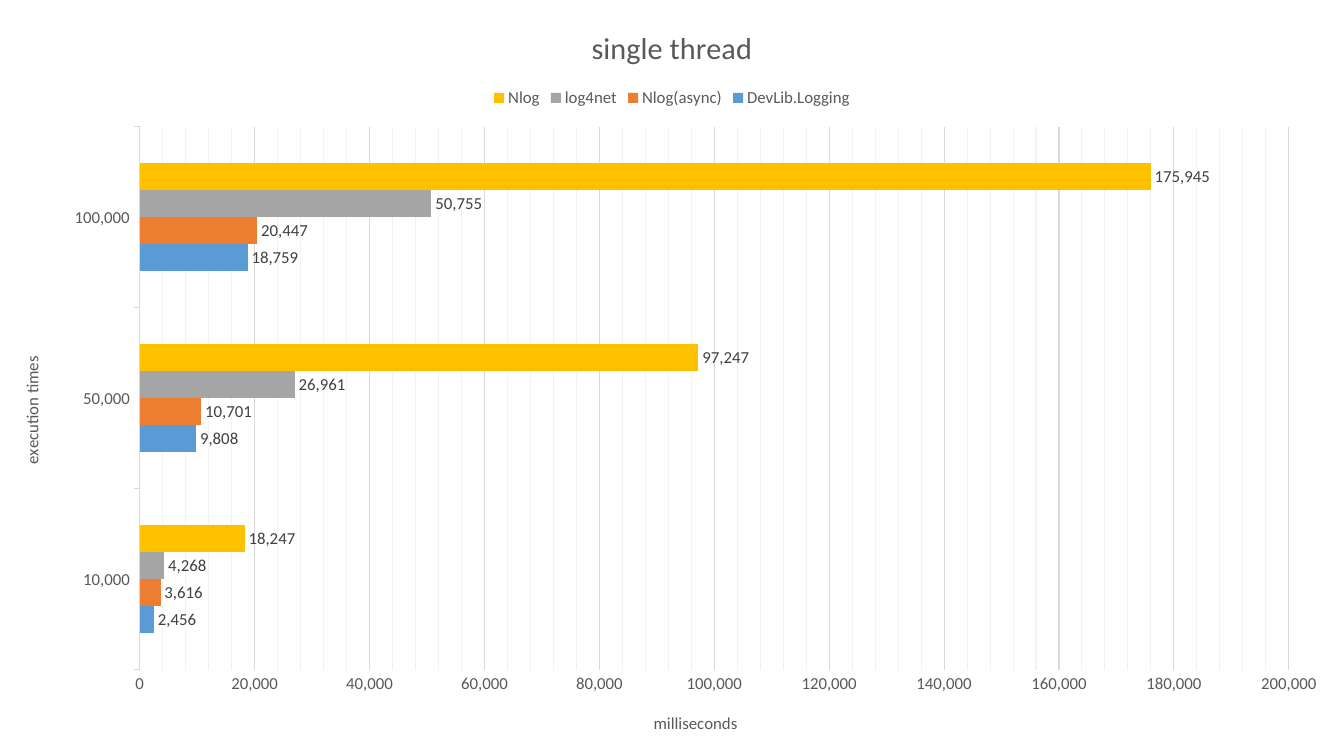
from lxml import etree
from pptx import Presentation
from pptx.chart.data import CategoryChartData
from pptx.dml.color import RGBColor
from pptx.enum.chart import XL_CHART_TYPE, XL_LABEL_POSITION, XL_LEGEND_POSITION, XL_TICK_MARK
from pptx.oxml.ns import qn
from pptx.util import Inches, Pt

COLORS = {
    "DevLib.Logging": "5B9BD5",
    "Nlog(async)": "ED7D31",
    "log4net": "A5A5A5",
    "Nlog": "FFC000",
    "text": "595959",
    "label": "404040",
    "grid": "D9D9D9",
    "minor grid": "F2F2F2",
}
MILLISECONDS = {
    "DevLib.Logging": (2456, 9808, 18759),
    "Nlog(async)": (3616, 10701, 20447),
    "log4net": (4268, 26961, 50755),
    "Nlog": (18247, 97247, 175945),
}
THOUSANDS = "#,##0"


def set_font(font, size, color):
    font.name = "Calibri"
    font.size = Pt(size)
    font.bold = False
    font.color.rgb = RGBColor.from_string(COLORS[color])


def set_line(line, color):
    line.color.rgb = RGBColor.from_string(COLORS[color])
    line.width = Pt(0.75)


prs = Presentation()
prs.slide_width = Inches(13.33)
prs.slide_height = Inches(7.5)
s = prs.slides.add_slide(prs.slide_layouts[6])

data = CategoryChartData(number_format=THOUSANDS)
data.categories = (10000, 50000, 100000)
data.categories.number_format = THOUSANDS
for name, values in MILLISECONDS.items():
    data.add_series(name, values)

chart = s.shapes.add_chart(
    XL_CHART_TYPE.BAR_CLUSTERED, 0, 0, prs.slide_width, prs.slide_height, data
).chart
set_font(chart.font, 12, "text")
cat_axis, val_axis = chart.category_axis, chart.value_axis

for title, text, size in (
    (chart.chart_title, "single thread", 21.6),
    (cat_axis.axis_title, "execution times", 12),
    (val_axis.axis_title, "milliseconds", 12),
):
    r = title.text_frame.paragraphs[0].add_run()
    r.text = text
    set_font(r.font, size, "text")
cat_axis.axis_title.text_frame._txBody.bodyPr.set("rot", "-5400000")

chart.has_legend = True
chart.legend.position = XL_LEGEND_POSITION.TOP
chart.legend.include_in_layout = False
set_font(chart.legend.font, 12, "text")

for axis in (cat_axis, val_axis):
    set_font(axis.tick_labels.font, 12, "text")
    axis.tick_labels.number_format = THOUSANDS
    axis.tick_labels.number_format_is_linked = False
    axis.minor_tick_mark = XL_TICK_MARK.NONE
cat_axis.major_tick_mark = XL_TICK_MARK.OUTSIDE
set_line(cat_axis.format.line, "grid")

val_axis.major_tick_mark = XL_TICK_MARK.NONE
val_axis.minimum_scale = 0
val_axis.maximum_scale = 200000
val_axis.major_unit = 20000
val_axis.minor_unit = 4000
val_axis.format.line.fill.background()
val_axis.has_major_gridlines = True
val_axis.has_minor_gridlines = True
set_line(val_axis.major_gridlines.format.line, "grid")

minor_grid = val_axis._element.find(qn("c:minorGridlines"))
ln = etree.SubElement(etree.SubElement(minor_grid, qn("c:spPr")), qn("a:ln"), w=str(Pt(0.75)))
fill = etree.SubElement(ln, qn("a:solidFill"))
etree.SubElement(fill, qn("a:srgbClr"), val=COLORS["minor grid"])

plot = chart.plots[0]
plot.gap_width = 269
plot.overlap = 0
plot.vary_by_categories = False
for series in plot.series:
    series.format.fill.solid()
    series.format.fill.fore_color.rgb = RGBColor.from_string(COLORS[series.name])
    labels = series.data_labels
    labels.show_value = True
    labels.position = XL_LABEL_POSITION.OUTSIDE_END
    labels.number_format = THOUSANDS
    labels.number_format_is_linked = False
    set_font(labels.font, 12, "label")

plot_area = chart._chartSpace.chart.plotArea
for old in plot_area.findall(qn("c:layout")):
    plot_area.remove(old)
layout = etree.Element(qn("c:layout"))
plot_area.insert(0, layout)
manual = etree.SubElement(layout, qn("c:manualLayout"))
for tag, val in (
    ("layoutTarget", "inner"),
    ("xMode", "edge"),
    ("yMode", "edge"),
    ("x", "0.104"),
    ("y", "0.168"),
    ("w", "0.855"),
    ("h", "0.718"),
):
    etree.SubElement(manual, qn(f"c:{tag}"), val=val)

prs.save("out.pptx")
